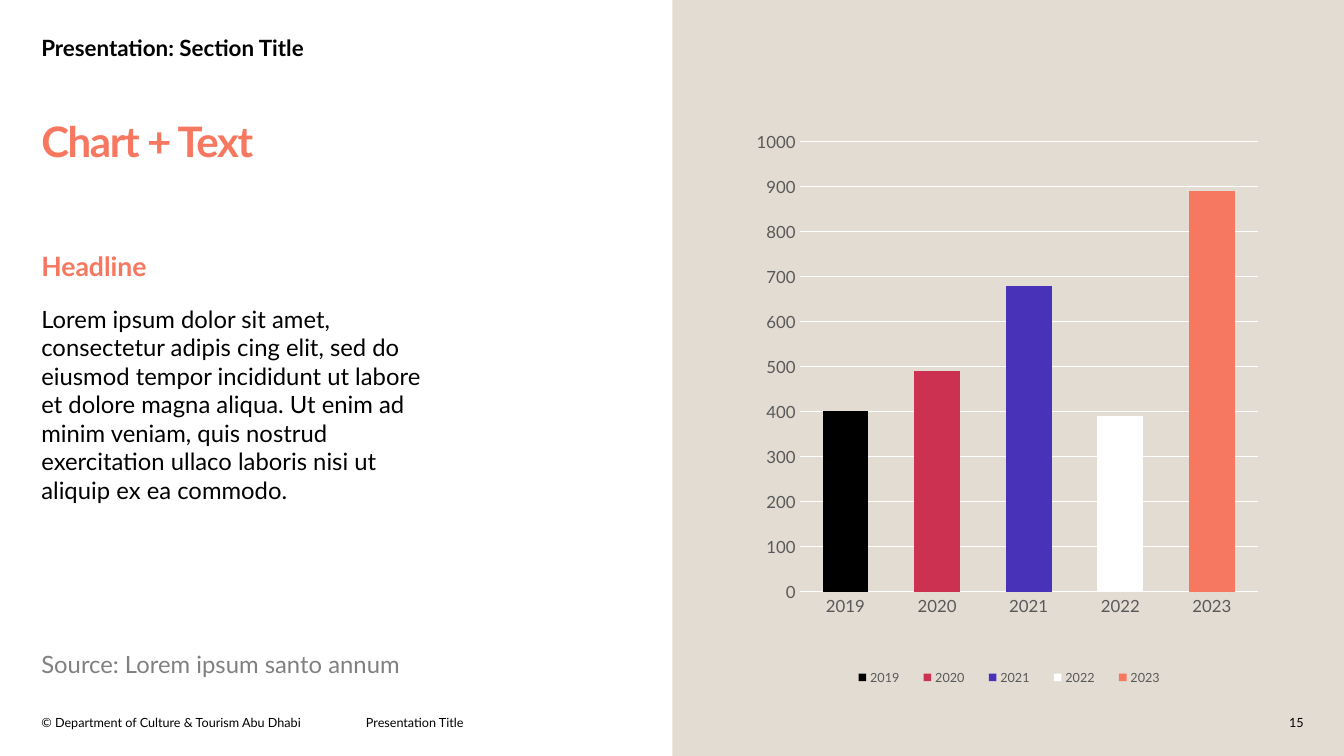
from dataclasses import dataclass

from lxml import etree
from pptx import Presentation
from pptx import util as u
from pptx.chart.data import CategoryChartData
from pptx.dml.color import RGBColor
from pptx.enum import chart as ch, shapes, text
from pptx.oxml.ns import qn

FONT = "Lato"
BLACK, WHITE, GREY, CORAL = "000000", "FFFFFF", "595959", "F77860"
TOP, BOTTOM = text.MSO_ANCHOR.TOP, text.MSO_ANCHOR.BOTTOM
LEFT, RIGHT = text.PP_ALIGN.LEFT, text.PP_ALIGN.RIGHT


@dataclass
class Para:
    text: str
    size: float
    color: str = BLACK
    bold: bool = False
    before: float = 0
    spacing: float = 1.0
    align: text.PP_ALIGN = LEFT


@dataclass
class Box:
    left: float
    top: float
    width: float
    height: float
    paras: list[Para]
    anchor: text.MSO_ANCHOR = BOTTOM


@dataclass
class Bar:
    year: str
    value: int
    color: str


BODY = (
    "Lorem ipsum dolor sit amet, consectetur adipis cing elit, sed do eiusmod "
    "tempor incididunt ut labore et dolore magna aliqua. Ut enim ad minim veniam, "
    "quis nostrud exercitation ullaco laboris nisi ut aliquip ex ea commodo."
)
TITLE = Box(0.41, 1.2, 5.52, 0.93,
            [Para("Chart + Text", 30, CORAL, True, spacing=0.9)], TOP)
BOXES = [
    Box(0.41, 7.05, 3.12, 0.19,
        [Para("© Department of Culture & Tourism Abu Dhabi", 9)]),
    Box(3.63, 7.05, 2.65, 0.19, [Para("Presentation Title", 9)]),
    Box(12.56, 7.05, 0.37, 0.19, [Para("15", 9, align=RIGHT)]),
    Box(0.41, 0.08, 5.1, 0.53, [Para("Presentation: Section Title", 16, bold=True)]),
    Box(0.41, 2.48, 3.91, 3.67,
        [Para("Headline", 19, CORAL, True), Para(BODY, 17, before=16)], TOP),
    Box(0.41, 6.3, 4.98, 0.43, [Para("Source: Lorem ipsum santo annum", 17, "808080")]),
]
BARS = [
    Bar("2019", 400, BLACK),
    Bar("2020", 490, "CD3151"),
    Bar("2021", 680, "4832B8"),
    Bar("2022", 390, WHITE),
    Bar("2023", 890, CORAL),
]
PLOT_LAYOUT = {"layoutTarget": "inner", "xMode": "edge", "yMode": "edge",
               "x": 0.144, "y": 0.029, "w": 0.778, "h": 0.786}
LEGEND_LAYOUT = {"xMode": "edge", "yMode": "edge",
                 "x": 0.21, "y": 0.94, "w": 0.58, "h": 0.05}


def paint(target, color: str) -> None:
    """Give a fill or a line's fill one solid colour."""
    target.solid()
    target.fore_color.rgb = RGBColor.from_string(color)


def style_font(font, size: float, color: str, bold: bool = False) -> None:
    """Set face, size, weight and colour of a font."""
    font.name, font.size, font.bold = FONT, u.Pt(size), bold
    font.color.rgb = RGBColor.from_string(color)


def fill_box(sp, box: Box) -> None:
    """Place a text shape and write its paragraphs."""
    sp.left, sp.top = u.Inches(box.left), u.Inches(box.top)
    sp.width, sp.height = u.Inches(box.width), u.Inches(box.height)
    tf = sp.text_frame
    tf.word_wrap, tf.auto_size = True, text.MSO_AUTO_SIZE.NONE
    tf.vertical_anchor = box.anchor
    tf.margin_left = tf.margin_right = tf.margin_top = tf.margin_bottom = 0
    for i, para in enumerate(box.paras):
        p = tf.add_paragraph() if i else tf.paragraphs[0]
        p.text, p.alignment = para.text, para.align
        p.space_before, p.line_spacing = u.Pt(para.before), para.spacing
        style_font(p.runs[0].font, para.size, para.color, para.bold)


def set_layout(parent, index: int, settings: dict) -> None:
    """Fix a chart part's place as fractions of the chart."""
    for old in parent.findall(qn("c:layout")):
        parent.remove(old)
    layout = etree.Element(qn("c:layout"))
    parent.insert(index, layout)
    manual = etree.SubElement(layout, qn("c:manualLayout"))
    for tag, val in settings.items():
        etree.SubElement(manual, qn(f"c:{tag}")).set("val", str(val))


def add_bar_chart(s) -> None:
    """Draw the yearly column chart."""
    data = CategoryChartData()
    data.categories = [bar.year for bar in BARS]
    data.add_series("Series 1", [bar.value for bar in BARS])
    chart = s.shapes.add_chart(
        ch.XL_CHART_TYPE.COLUMN_CLUSTERED, u.Inches(7.09), u.Inches(1.24),
        u.Inches(5.84), u.Inches(5.68), data).chart
    style_font(chart.font, 10, BLACK)
    chart.has_title = False
    chart.has_legend = True
    chart.legend.position = ch.XL_LEGEND_POSITION.BOTTOM
    chart.legend.include_in_layout = False
    style_font(chart.legend.font, 9, GREY)

    plot = chart.plots[0]
    plot.gap_width, plot.vary_by_categories = 100, True
    for i, bar in enumerate(BARS):
        paint(plot.series[0].points[i].format.fill, bar.color)

    years, values = chart.category_axis, chart.value_axis
    for axis in (years, values):
        axis.major_tick_mark = axis.minor_tick_mark = ch.XL_TICK_MARK.NONE
        style_font(axis.tick_labels.font, 12, GREY)
    values.minimum_scale, values.maximum_scale, values.major_unit = 0, 1000, 100
    values.has_major_gridlines = True
    values.format.line.fill.background()
    for line in (years.format.line, values.major_gridlines.format.line):
        paint(line.fill, WHITE)
        line.width = u.Pt(0.75)
    set_layout(plot._element.getparent(), 0, PLOT_LAYOUT)
    set_layout(chart.legend._element, 1, LEGEND_LAYOUT)


def main() -> None:
    """Build the slide and save it."""
    prs = Presentation()
    prs.slide_width, prs.slide_height = u.Inches(13.33), u.Inches(7.5)
    s = prs.slides.add_slide(prs.slide_layouts[5])
    paint(s.background.fill, WHITE)

    panel = s.shapes.add_shape(
        shapes.MSO_SHAPE.RECTANGLE, u.Inches(6.67), 0, u.Inches(6.66), u.Inches(7.5))
    panel.shadow.inherit = False
    paint(panel.fill, "E3DCD3")
    panel.line.fill.background()

    for box in BOXES:
        fill_box(s.shapes.add_textbox(0, 0, 0, 0), box)
    title = s.shapes.title
    fill_box(title, TITLE)
    title.text_frame.paragraphs[0].runs[0].font._element.set("spc", "-100")
    add_bar_chart(s)
    prs.save("out.pptx")


if __name__ == "__main__":
    main()
